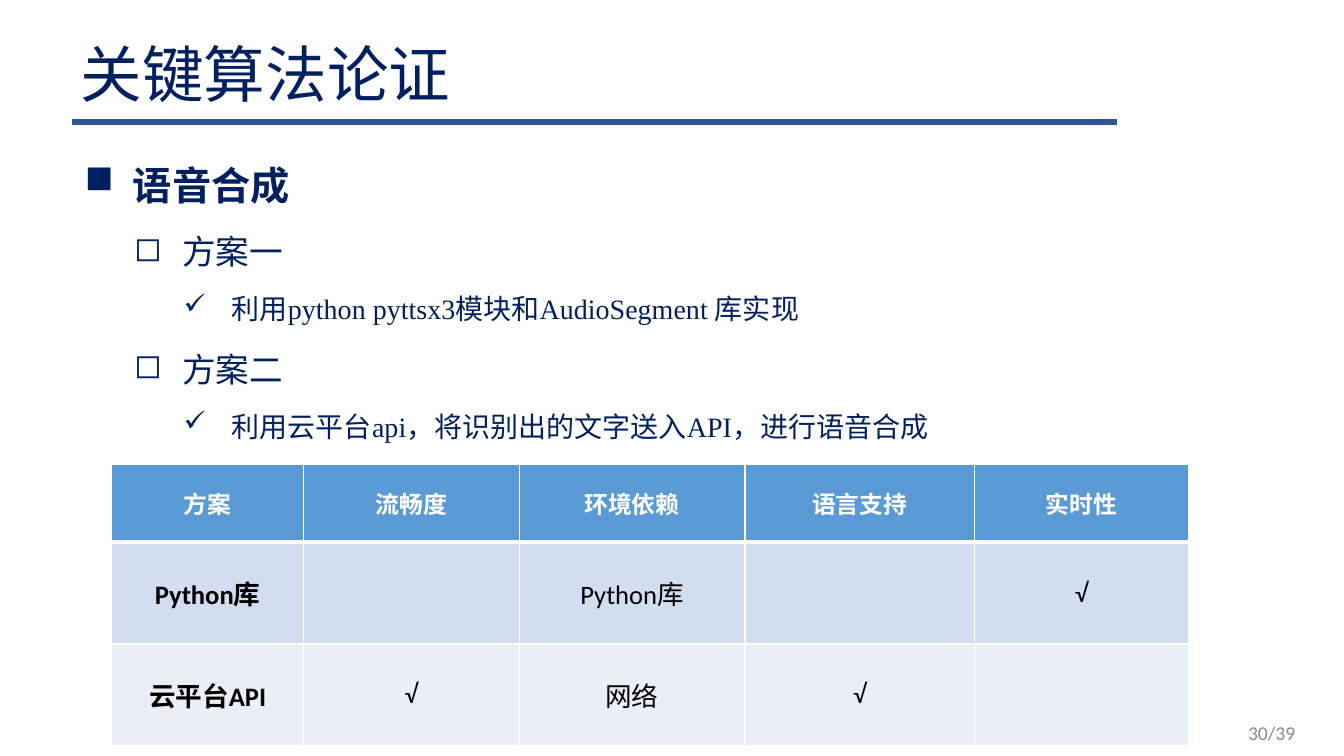
from lxml.etree import SubElement
from pptx import Presentation
from pptx.dml.color import RGBColor
from pptx.enum.shapes import MSO_CONNECTOR
from pptx.enum.text import MSO_ANCHOR, MSO_AUTO_SIZE, PP_ALIGN
from pptx.oxml.ns import qn
from pptx.util import Pt

COLORS = {
    "navy": "002060", "rule": "2F5597", "white": "FFFFFF", "black": "000000",
    "header": "5B9BD5", "band_dark": "D2DEEF", "band_light": "EAEFF7", "gray": "8C8C8C",
}
CHINESE_FONT = "Noto Sans CJK SC"
OUTLINE_STYLES = [("■", 28, 10), ("◻", 24, 5), ("✓", 20, 5)]
OUTLINE = [
    (0, "语音合成"),
    (1, "方案一"),
    (2, "利用python pyttsx3模块和AudioSegment 库实现"),
    (1, "方案二"),
    (2, "利用云平台api，将识别出的文字送入API，进行语音合成"),
]
COMPARISON = [
    ["方案", "流畅度", "环境依赖", "语言支持", "实时性"],
    ["Python库", "", "Python库", "", "√"],
    ["云平台API", "√", "网络", "√", ""],
]
COLUMN_WIDTHS = [136.8, 154.1, 161.3, 164.1, 152.7]
ROW_HEIGHTS = [55.4, 72.7, 72.7]


class SlideBuilder:
    """Hold the slide and its style, and add each kind of element."""

    def __init__(self, presentation):
        self.slide = presentation.slides.add_slide(presentation.slide_layouts[5])

    def format_text(self, paragraph, size, color, font_name, bold=False):
        font = paragraph.font
        font.size, font.bold, font.name = Pt(size), bold, font_name
        font.color.rgb = RGBColor.from_string(COLORS[color])
        properties = paragraph._p.pPr.find(qn("a:defRPr"))
        SubElement(properties, qn("a:ea"), typeface=CHINESE_FONT)

    def place_title(self, text, left, top, width, height):
        title = self.slide.shapes.title
        title.left, title.top, title.width, title.height = map(Pt, (left, top, width, height))
        frame = title.text_frame
        frame.text = text
        frame.auto_size = MSO_AUTO_SIZE.NONE
        frame.vertical_anchor = MSO_ANCHOR.MIDDLE
        paragraph = frame.paragraphs[0]
        paragraph.alignment = PP_ALIGN.LEFT
        paragraph.line_spacing = 0.9
        self.format_text(paragraph, 44, "navy", CHINESE_FONT)

    def add_rule(self, left, right, y):
        line = self.slide.shapes.add_connector(
            MSO_CONNECTOR.STRAIGHT, Pt(left), Pt(y), Pt(right), Pt(y))
        line.line.color.rgb = RGBColor.from_string(COLORS["rule"])
        line.line.width = Pt(4)
        SubElement(line._element.spPr, qn("a:effectLst"))

    def add_text_frame(self, left, top, width, height):
        box = self.slide.shapes.add_textbox(Pt(left), Pt(top), Pt(width), Pt(height))
        box.text_frame.word_wrap = True
        return box.text_frame

    def add_outline(self, items, left, top, width, height):
        frame = self.add_text_frame(left, top, width, height)
        for index, (level, text) in enumerate(items):
            paragraph = frame.add_paragraph() if index else frame.paragraphs[0]
            bullet, size, space_before = OUTLINE_STYLES[level]
            paragraph.text = text
            paragraph.level = level
            paragraph.line_spacing = 1.4
            paragraph.space_before = Pt(space_before)
            properties = paragraph._p.get_or_add_pPr()
            properties.set("marL", str(Pt(35.3 * (level + 1))))
            properties.set("indent", str(-Pt(34.5)))
            SubElement(properties, qn("a:buChar"), char=bullet)
            self.format_text(paragraph, size, "navy", "Times New Roman", level == 0)

    def add_page_number(self, text, left, top, width, height):
        paragraph = self.add_text_frame(left, top, width, height).paragraphs[0]
        paragraph.text = text
        paragraph.alignment = PP_ALIGN.RIGHT
        self.format_text(paragraph, 14, "gray", "Calibri")

    def add_borders(self, cell, top_width, bottom_width):
        properties = cell._tc.get_or_add_tcPr()
        for side, width in zip("LRTB", (1, 1, top_width, bottom_width)):
            line = SubElement(properties, qn(f"a:ln{side}"), w=str(Pt(width)))
            fill = SubElement(line, qn("a:solidFill"))
            SubElement(fill, qn("a:srgbClr"), val=COLORS["white"])

    def add_table(self, rows, left, top):
        table = self.slide.shapes.add_table(
            len(rows), len(rows[0]), Pt(left), Pt(top),
            Pt(sum(COLUMN_WIDTHS)), Pt(sum(ROW_HEIGHTS))).table
        for column, width in zip(table.columns, COLUMN_WIDTHS):
            column.width = Pt(width)
        fills = ["header", "band_dark", "band_light"]
        for row_index, texts in enumerate(rows):
            table.rows[row_index].height = Pt(ROW_HEIGHTS[row_index])
            is_header = row_index == 0
            for column_index, text in enumerate(texts):
                cell = table.cell(row_index, column_index)
                self.add_borders(cell, 3 if row_index == 1 else 1, 3 if is_header else 1)
                cell.fill.solid()
                cell.fill.fore_color.rgb = RGBColor.from_string(COLORS[fills[row_index]])
                cell.vertical_anchor = MSO_ANCHOR.MIDDLE
                paragraph = cell.text_frame.paragraphs[0]
                paragraph.text = text
                paragraph.alignment = PP_ALIGN.CENTER
                self.format_text(
                    paragraph, 17 if is_header else 19, "white" if is_header else "black",
                    "Calibri", is_header or column_index == 0)


def main():
    presentation = Presentation()
    presentation.slide_width, presentation.slide_height = Pt(960), Pt(540)
    builder = SlideBuilder(presentation)
    builder.add_rule(51.1, 797.8, 87.1)
    builder.add_outline(OUTLINE, 52.6, 97.9, 895.7, 234)
    builder.place_title("关键算法论证", 50.4, 25.9, 828, 59)
    builder.add_table(COMPARISON, 79.9, 331.9)
    builder.add_page_number("30/39", 716.4, 511.2, 216, 28.8)
    presentation.save("out.pptx")


if __name__ == "__main__":
    main()
